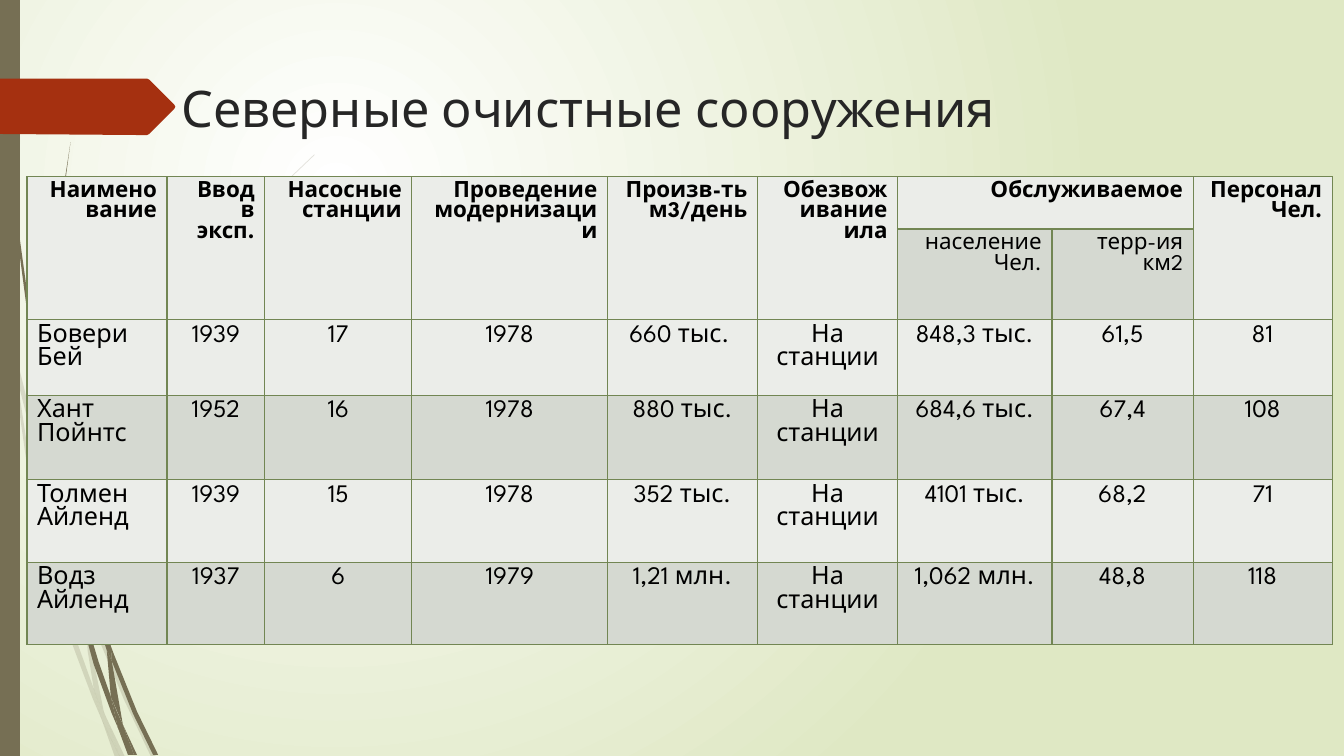
from dataclasses import dataclass

from lxml.etree import SubElement
from pptx import Presentation
from pptx.dml.color import RGBColor
from pptx.enum.shapes import MSO_SHAPE
from pptx.enum.text import PP_ALIGN
from pptx.oxml.ns import qn
from pptx.shapes.autoshape import Shape
from pptx.slide import Slide
from pptx.table import _Cell
from pptx.text.text import TextFrame
from pptx.util import Cm, Pt


@dataclass(frozen=True)
class Theme:
    font: str = "League Spartan"
    title_size: int = 36
    heading_size: int = 16
    body_size: int = 18
    title: str = "262626"
    text: str = "000000"
    stem: str = "766F54"
    ribbon: str = "A53010"
    grid: str = "728653"
    light_row: str = "EBEDE9"
    dark_row: str = "D5D9D1"
    centre: str = "FFFFFF"
    edge: str = "DFE8C4"


@dataclass(frozen=True)
class Style:
    size: int
    color: str
    align: PP_ALIGN = PP_ALIGN.LEFT
    bold: bool = False


@dataclass(frozen=True)
class Heading:
    row: int
    column: int
    text: str
    rows: int = 1
    columns: int = 1


@dataclass(frozen=True)
class Wisp:
    """Outline of grass in hundredths of an inch."""
    points: tuple[tuple[float, float], ...]
    opacity: int = 100


THEME = Theme()
UNIT = Cm(0.0254)

PALE_OUTLINES = (
    ((11, 350), (9, 322), (0, 282), (0, 299), (10, 344)),
    ((58, 522), (84, 599), (85, 586), (62, 520), (36, 434), (14, 345), (17, 376), (36, 450)),
    ((92, 607), (88, 596), (88, 610), (123, 694), (150, 751), (155, 751), (127, 692)),
    ((119, 751), (124, 751), (105, 711)),
    ((93, 683), (70, 619), (48, 545), (31, 469), (17, 376), (11, 350), (28, 470), (45, 546),
     (65, 621), (92, 693), (101, 714), (99, 707)),
    ((84, 599), (87, 646), (93, 683), (96, 692), (105, 711), (103, 706), (91, 646), (88, 608)),
    ((88, 584), (94, 522), (110, 462), (132, 405), (160, 349), (193, 296), (229, 245),
     (268, 198), (290, 175), (312, 154), (312, 153), (289, 175), (268, 197), (228, 244),
     (191, 295), (158, 348), (130, 404), (107, 461), (91, 522), (85, 584), (88, 596)),
    ((101, 714), (114, 751), (119, 751)),
    ((88, 608), (88, 596), (85, 586), (84, 599)),
    ((96, 692), (93, 683), (99, 707), (101, 714), (119, 751), (105, 711)),
)
DARK_OUTLINES = (
    ((7, 110), (17, 233), (33, 355), (56, 477), (57, 481), (55, 453), (36, 355), (19, 232),
     (8, 109), (5, 48), (4, 0), (3, 0), (4, 48)),
    ((88, 592), (106, 645), (106, 631), (93, 590), (75, 532), (60, 472), (64, 505)),
    ((113, 649), (110, 641), (111, 656), (132, 708), (152, 749), (157, 749), (136, 706)),
    ((110, 691), (98, 657), (83, 607), (72, 556), (64, 505), (57, 477), (68, 557), (79, 608),
     (93, 659), (111, 708), (117, 722)),
    ((60, 472), (58, 453), (54, 349), (58, 245), (63, 193), (70, 141), (62, 193), (56, 245),
     (52, 349), (55, 449)),
    ((133, 749), (136, 749), (122, 719)),
    ((57, 477), (64, 505), (60, 472), (55, 449)),
    ((111, 633), (125, 552), (158, 476), (205, 406), (231, 374), (261, 344), (231, 373),
     (204, 405), (156, 474), (122, 551), (106, 631), (110, 641)),
    ((117, 722), (127, 749), (131, 749)),
    ((106, 645), (110, 691), (122, 719), (111, 656)),
    ((106, 645), (111, 656), (110, 641), (106, 631)),
    ((116, 706), (110, 691), (117, 722), (130, 749), (133, 749), (122, 719)),
)
WISPS = ([Wisp(points, 20) for points in PALE_OUTLINES]
         + [Wisp(points) for points in DARK_OUTLINES])
RIBBON = Wisp(((0, 78), (146, 78), (148, 79), (173, 104), (174, 106), (173, 108),
               (148, 133), (146, 134), (136, 134), (0, 133)))

COLUMN_WIDTHS = (3.53, 2.46, 3.71, 4.93, 3.78, 3.53, 3.89, 3.56, 3.5)
ROW_HEIGHTS = (1.32, 1.75, 1.9, 2.13, 2.08, 2.08)
HEADINGS = (
    Heading(0, 0, "Наименование", rows=2),
    Heading(0, 1, "Ввод в эксп.", rows=2),
    Heading(0, 2, "Насосные станции", rows=2),
    Heading(0, 3, "Проведение модернизации", rows=2),
    Heading(0, 4, "Произв-ть\nм3/день", rows=2),
    Heading(0, 5, "Обезвоживание ила", rows=2),
    Heading(0, 6, "Обслуживаемое", columns=2),
    Heading(0, 8, "Персонал\nЧел.", rows=2),
    Heading(1, 6, "население\nЧел."),
    Heading(1, 7, "терр-ия\nкм2"),
)
PLANTS = (
    ("Бовери Бей", "1939", "17", "1978", "660 тыс. ", "На станции", "848,3 тыс.", "61,5", "81"),
    ("Хант Пойнтс", "1952", "16", "1978", "880 тыс.", "На станции", "684,6 тыс.", "67,4", "108"),
    ("Толмен Айленд", "1939", "15", "1978", "352 тыс.", "На станции", "4101 тыс.", "68,2", "71"),
    ("Водз Айленд", "1937", "6", "1979", "1,21 млн.", "На станции", "1,062 млн.", "48,8", "118"),
)


def paint(shape: Shape, color: str) -> None:
    shape.shadow.inherit = False
    shape.fill.solid()
    shape.fill.fore_color.rgb = RGBColor.from_string(color)
    shape.line.fill.background()


def paint_background(page: Slide) -> None:
    fill = page.background.fill
    fill.gradient()
    for stop, color in zip(fill.gradient_stops, (THEME.centre, THEME.edge)):
        stop.color.rgb = RGBColor.from_string(color)
    linear = next(page.element.iter(qn("a:lin")))
    gradient = linear.getparent()
    gradient.remove(linear)
    circle = SubElement(gradient, qn("a:path"), path="circle")
    SubElement(circle, qn("a:fillToRect"), l="50000", t="50000", r="100000", b="100000")


def draw_outline(page: Slide, outline: Wisp, color: str) -> None:
    builder = page.shapes.build_freeform(*outline.points[0], scale=UNIT)
    builder.add_line_segments(outline.points[1:], close=True)
    shape = builder.convert_to_shape()
    paint(shape, color)
    if outline.opacity < 100:
        tone = shape.fill._xPr.find(qn("a:solidFill"))[0]
        SubElement(tone, qn("a:alpha"), val=str(outline.opacity * 1000))


def write(frame: TextFrame, text: str, style: Style) -> None:
    frame.word_wrap = True
    for index, line in enumerate(text.split("\n")):
        para = frame.add_paragraph() if index else frame.paragraphs[0]
        para.alignment = style.align
        span = para.add_run()
        span.text = line
        span.font.name = THEME.font
        span.font.size = Pt(style.size)
        span.font.bold = style.bold
        span.font.color.rgb = RGBColor.from_string(style.color)


def format_cell(cell: _Cell, color: str) -> None:
    properties = cell._tc.get_or_add_tcPr()
    for side in ("a:lnL", "a:lnR", "a:lnT", "a:lnB"):
        border = SubElement(properties, qn(side), w=str(Pt(1)))
        SubElement(SubElement(border, qn("a:solidFill")), qn("a:srgbClr"), val=THEME.grid)
    cell.fill.solid()
    cell.fill.fore_color.rgb = RGBColor.from_string(color)


def draw_table(page: Slide) -> None:
    table = page.shapes.add_table(
        len(ROW_HEIGHTS), len(COLUMN_WIDTHS), Cm(0.68), Cm(4.45),
        Cm(sum(COLUMN_WIDTHS)), Cm(sum(ROW_HEIGHTS))).table
    for column, width in zip(table.columns, COLUMN_WIDTHS):
        column.width = Cm(width)
    for index, (row, height) in enumerate(zip(table.rows, ROW_HEIGHTS)):
        row.height = Cm(height)
        for cell in row.cells:
            format_cell(cell, THEME.dark_row if index % 2 else THEME.light_row)

    # Headings, some spanning two rows or columns
    for heading in HEADINGS:
        cell = table.cell(heading.row, heading.column)
        if heading.rows * heading.columns > 1:
            cell.merge(table.cell(heading.row + heading.rows - 1,
                                  heading.column + heading.columns - 1))
        write(cell.text_frame, heading.text,
              Style(THEME.heading_size, THEME.text, PP_ALIGN.RIGHT, heading.row == 0))

    # One row for each plant
    for row, plant in enumerate(PLANTS, start=2):
        for column, value in enumerate(plant):
            align = PP_ALIGN.CENTER if column else PP_ALIGN.LEFT
            write(table.cell(row, column).text_frame, value,
                  Style(THEME.body_size, THEME.text, align))


def main() -> None:
    deck = Presentation()
    deck.slide_width, deck.slide_height = Cm(33.87), Cm(19.05)
    page = deck.slides.add_slide(deck.slide_layouts[6])

    # Backdrop: gradient, grass, side bar and ribbon
    paint_background(page)
    for wisp in WISPS:
        draw_outline(page, wisp, THEME.stem)
    bar = page.shapes.add_shape(MSO_SHAPE.RECTANGLE, 0, 0, Cm(0.5), deck.slide_height)
    paint(bar, THEME.stem)
    draw_outline(page, RIBBON, THEME.ribbon)

    # Title and table
    box = page.shapes.add_textbox(Cm(4.32), Cm(1.83), Cm(24.77), Cm(3.56))
    write(box.text_frame, "Северные очистные сооружения", Style(THEME.title_size, THEME.title))
    draw_table(page)
    deck.save("out.pptx")


if __name__ == "__main__":
    main()
